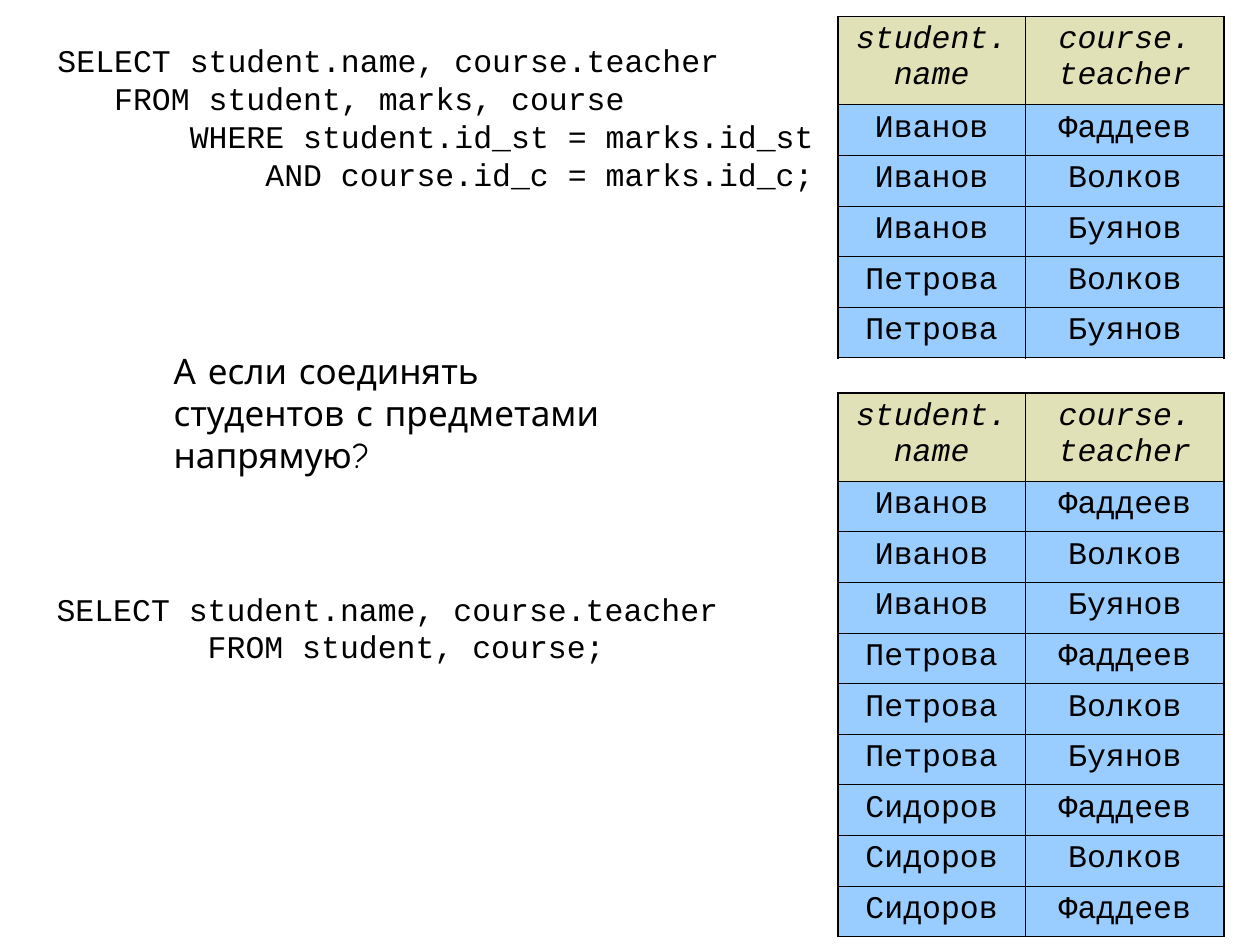
from dataclasses import dataclass

from lxml import etree
from pptx import Presentation
from pptx.dml.color import RGBColor
from pptx.enum.text import MSO_AUTO_SIZE, PP_ALIGN
from pptx.oxml.ns import qn
from pptx.util import Cm, Pt

CENTER = PP_ALIGN.CENTER
NO_AUTOSIZE = MSO_AUTO_SIZE.NONE

COLORS = {"text": "000000", "border": "000000", "header": "E1E1B7", "body": "99CCFF"}
CODE_FONT = "Courier New"
QUESTION_FONT = "Comic Neue"
CODE_SIZE = 18
CODE_CHARACTER_WIDTH = Pt(10.8)
LINE_SPACING = 1.2
OUTER_BORDER = Pt(1.08)
INNER_BORDER = Pt(0.45)

TABLE_LEFT = 16.89
COLUMN_WIDTHS = (3.78, 4.01)
HEADER_HEIGHT = 1.78
ROW_HEIGHT = 1.02
HEADERS = ("student. name", "course.\nteacher")


@dataclass(frozen=True)
class Line:
    text: str
    indent: int = 0  # in characters


@dataclass(frozen=True)
class TextBlock:
    left: float
    top: float
    width: float
    height: float
    lines: tuple[Line, ...]
    font: str = CODE_FONT
    size: int = CODE_SIZE


@dataclass(frozen=True)
class ResultTable:
    top: float
    rows: tuple[tuple[str, str], ...]


JOIN_QUERY = TextBlock(0.91, 0.71, 17.78, 3.3, (
    Line("SELECT student.name, course.teacher"),
    Line("FROM student, marks, course", 3),
    Line("WHERE student.id_st = marks.id_st", 7),
    Line("AND course.id_c = marks.id_c;", 11),
))
QUESTION = TextBlock(3.25, 6.93, 9.45, 2.79, (
    Line("А если соединять"),
    Line("студентов с предметами"),
    Line("напрямую?"),
), QUESTION_FONT, 20)
CROSS_QUERY = TextBlock(0.89, 11.76, 17.78, 1.78, (
    Line("SELECT student.name, course.teacher"),
    Line("FROM student, course;", 8),
))

JOIN_RESULT = ResultTable(0.33, (
    ("Иванов", "Фаддеев"),
    ("Иванов", "Волков"),
    ("Иванов", "Буянов"),
    ("Петрова", "Волков"),
    ("Петрова", "Буянов"),
))
CROSS_RESULT = ResultTable(7.92, (
    ("Иванов", "Фаддеев"),
    ("Иванов", "Волков"),
    ("Иванов", "Буянов"),
    ("Петрова", "Фаддеев"),
    ("Петрова", "Волков"),
    ("Петрова", "Буянов"),
    ("Сидоров", "Фаддеев"),
    ("Сидоров", "Волков"),
    ("Сидоров", "Фаддеев"),
))


def color(name: str) -> RGBColor:
    return RGBColor.from_string(COLORS[name])


def style_font(paragraph, name: str, size: int, italic: bool = False) -> None:
    font = paragraph.font
    font.name = name
    font.size = Pt(size)
    font.italic = italic
    font.color.rgb = color("text")


def add_text_block(slide, block: TextBlock) -> None:
    shape = slide.shapes.add_textbox(
        Cm(block.left), Cm(block.top), Cm(block.width), Cm(block.height))
    frame = shape.text_frame
    frame.word_wrap = True
    frame.auto_size = NO_AUTOSIZE
    frame.text = "\n".join(line.text for line in block.lines)
    for paragraph, line in zip(frame.paragraphs, block.lines):
        style_font(paragraph, block.font, block.size)
        paragraph.line_spacing = Pt(block.size * LINE_SPACING)
        if line.indent:
            margin = line.indent * CODE_CHARACTER_WIDTH
            paragraph._p.get_or_add_pPr().set("marL", str(margin))


def set_borders(cell, outer_sides: dict[str, bool]) -> None:
    """Draw a thick line on each outer side of the table and a thin one elsewhere."""
    properties = cell._tc.get_or_add_tcPr()
    for side, is_outer in outer_sides.items():
        width = OUTER_BORDER if is_outer else INNER_BORDER
        line = etree.SubElement(properties, qn(f"a:ln{side}"), w=str(width))
        fill = etree.SubElement(line, qn("a:solidFill"))
        etree.SubElement(fill, qn("a:srgbClr"), val=COLORS["border"])


def add_result_table(slide, result: ResultTable) -> None:
    contents = (HEADERS, *result.rows)
    height = HEADER_HEIGHT + ROW_HEIGHT * len(result.rows)
    table = slide.shapes.add_table(
        len(contents), len(HEADERS), Cm(TABLE_LEFT), Cm(result.top),
        Cm(sum(COLUMN_WIDTHS)), Cm(height)).table
    table.horz_banding = False
    for column, width in zip(table.columns, COLUMN_WIDTHS):
        column.width = Cm(width)
    last_row, last_column = len(contents) - 1, len(HEADERS) - 1
    for row_index, texts in enumerate(contents):
        is_header = row_index == 0
        table.rows[row_index].height = Cm(HEADER_HEIGHT if is_header else ROW_HEIGHT)
        for column_index, text in enumerate(texts):
            cell = table.cell(row_index, column_index)
            cell.text = text
            set_borders(cell, {
                "L": column_index == 0,
                "R": column_index == last_column,
                "T": is_header,
                "B": row_index == last_row,
            })
            cell.fill.solid()
            cell.fill.fore_color.rgb = color("header" if is_header else "body")
            for paragraph in cell.text_frame.paragraphs:
                paragraph.alignment = CENTER
                style_font(paragraph, CODE_FONT, CODE_SIZE, italic=is_header)
                if "\n" not in text:
                    paragraph.space_before = Pt(4.5)


def main() -> None:
    presentation = Presentation()
    presentation.slide_width = Cm(25.4)
    presentation.slide_height = Cm(19.05)
    slide = presentation.slides.add_slide(presentation.slide_layouts[6])
    add_text_block(slide, JOIN_QUERY)
    add_result_table(slide, CROSS_RESULT)
    add_text_block(slide, QUESTION)
    add_text_block(slide, CROSS_QUERY)
    add_result_table(slide, JOIN_RESULT)
    presentation.save("out.pptx")


if __name__ == "__main__":
    main()
